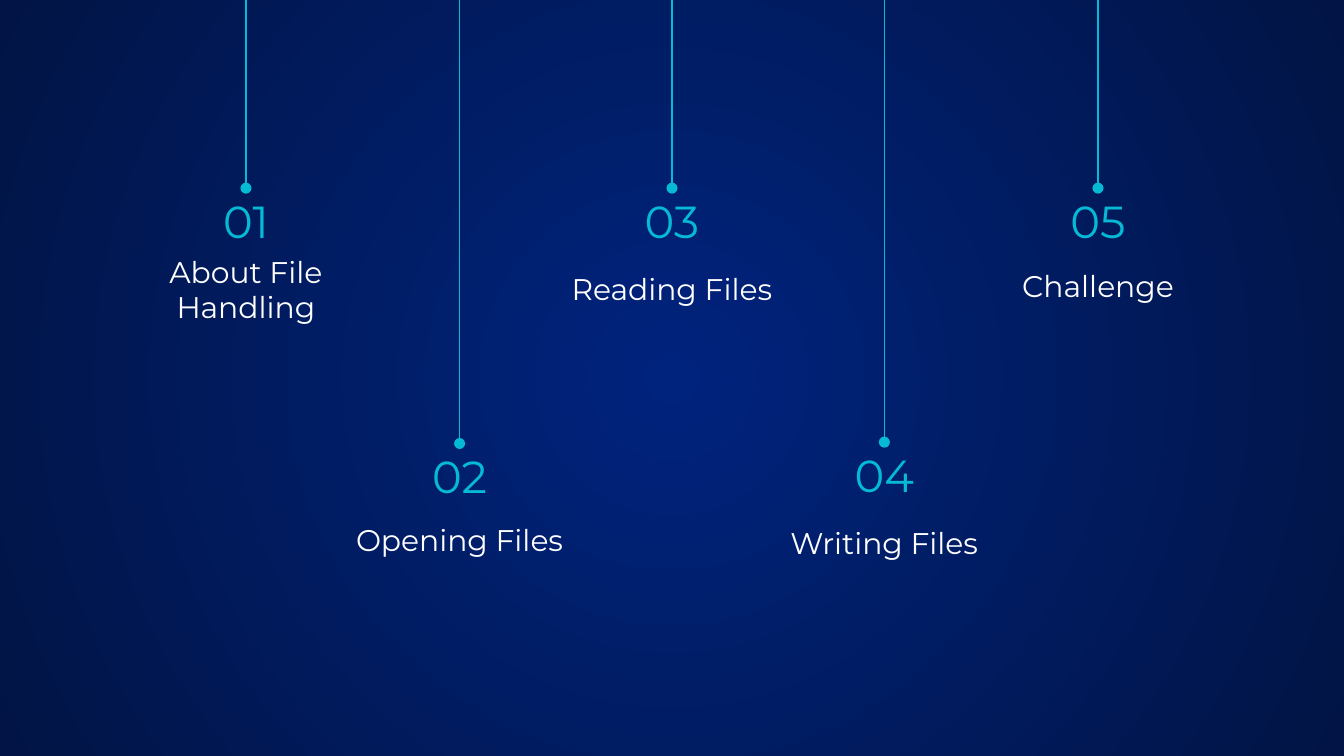
from pptx import Presentation
from pptx.dml.color import RGBColor
from pptx.enum.shapes import MSO_CONNECTOR
from pptx.enum.text import MSO_ANCHOR as ANCHOR, MSO_AUTO_SIZE, PP_ALIGN
from pptx.oxml.ns import qn
from pptx.util import Inches, Pt
from lxml.etree import SubElement

CYAN, WHITE = "06BAD6", "FFFFFF"
SLIDE_W, SLIDE_H = 10, 45 / 8  # 16:9
NUMBER_W, NUMBER_H = 1.17, 0.54
LABEL_W, LABEL_H = 2.13, 0.42
UPPER_LABEL, LOWER_LABEL = 1.94, 3.83

# Number, label, column centre, end of the line, label top, label anchor
TOPICS = [
    ("01", "About File Handling", 1.83, 1.4, UPPER_LABEL, ANCHOR.MIDDLE),
    ("02", "Opening Files", 3.42, 3.3, LOWER_LABEL, ANCHOR.BOTTOM),
    ("03", "Reading Files", 5, 1.4, UPPER_LABEL, ANCHOR.MIDDLE),
    ("04", "Writing Files", 6.58, 3.29, LOWER_LABEL, ANCHOR.MIDDLE),
    ("05", "Challenge", 8.17, 1.4, UPPER_LABEL, ANCHOR.BOTTOM),
]


def rgb(color):
    return RGBColor.from_string(color)


class Agenda:
    font = "Montserrat"

    def __init__(self, slide):
        self.s = slide

    def background(self, inner, outer):
        fill = self.s.background.fill
        fill.gradient()
        for stop, color, pos in zip(fill.gradient_stops, (inner, outer), (0, 1)):
            stop.color.rgb = rgb(color)
            stop.position = pos
        # Circular gradient from the centre
        grad = self.s.element.find(".//" + qn("a:gradFill"))
        grad.remove(grad.find(qn("a:lin")))
        circle = SubElement(grad, qn("a:path"), {"path": "circle"})
        SubElement(circle, qn("a:fillToRect"), dict.fromkeys("ltrb", "50000"))

    def text(self, text, cx, top, w, h, size, color, anchor, sp=None):
        box = [Inches(v) for v in (cx - w / 2, top, w, h)]
        if sp is None:
            sp = self.s.shapes.add_textbox(*box)
        else:
            sp.left, sp.top, sp.width, sp.height = box
        tf = sp.text_frame
        tf.text = text
        tf.word_wrap = True
        tf.auto_size = MSO_AUTO_SIZE.NONE
        tf.vertical_anchor = anchor
        tf.margin_left = tf.margin_right = Inches(0.1)
        tf.margin_top = tf.margin_bottom = Inches(0.1)
        p = tf.paragraphs[0]
        p.alignment = PP_ALIGN.CENTER
        p.font.name = self.font
        p.font.size = Pt(size)
        p.font.color.rgb = rgb(color)

    def hanging_line(self, x, end):
        line = self.s.shapes.add_connector(
            MSO_CONNECTOR.STRAIGHT, Inches(x), Inches(end), Inches(x), 0)
        line.line.color.rgb = rgb(CYAN)
        line.line.width = Pt(0.75)
        sp_pr = line.element.spPr
        SubElement(sp_pr.find(qn("a:ln")), qn("a:headEnd"),
                   {"type": "oval", "w": "med", "len": "med"})
        SubElement(sp_pr, qn("a:effectLst"))


def main():
    prs = Presentation()
    prs.slide_width, prs.slide_height = Inches(SLIDE_W), Inches(SLIDE_H)
    s = prs.slides.add_slide(prs.slide_layouts[5])
    agenda = Agenda(s)
    agenda.background("00237D", "011445")

    # Numbers and labels; the first number takes the title placeholder
    title = s.shapes.title
    for number, label, x, end, label_top, anchor in TOPICS:
        agenda.text(number, x, end, NUMBER_W, NUMBER_H, 24, CYAN,
                    ANCHOR.BOTTOM, title)
        title = None
        agenda.text(label, x, label_top, LABEL_W, LABEL_H, 16, WHITE, anchor)

    # Lines hanging from the top edge
    for _, _, x, end, _, _ in TOPICS:
        agenda.hanging_line(x, end)

    prs.save("out.pptx")


if __name__ == "__main__":
    main()
